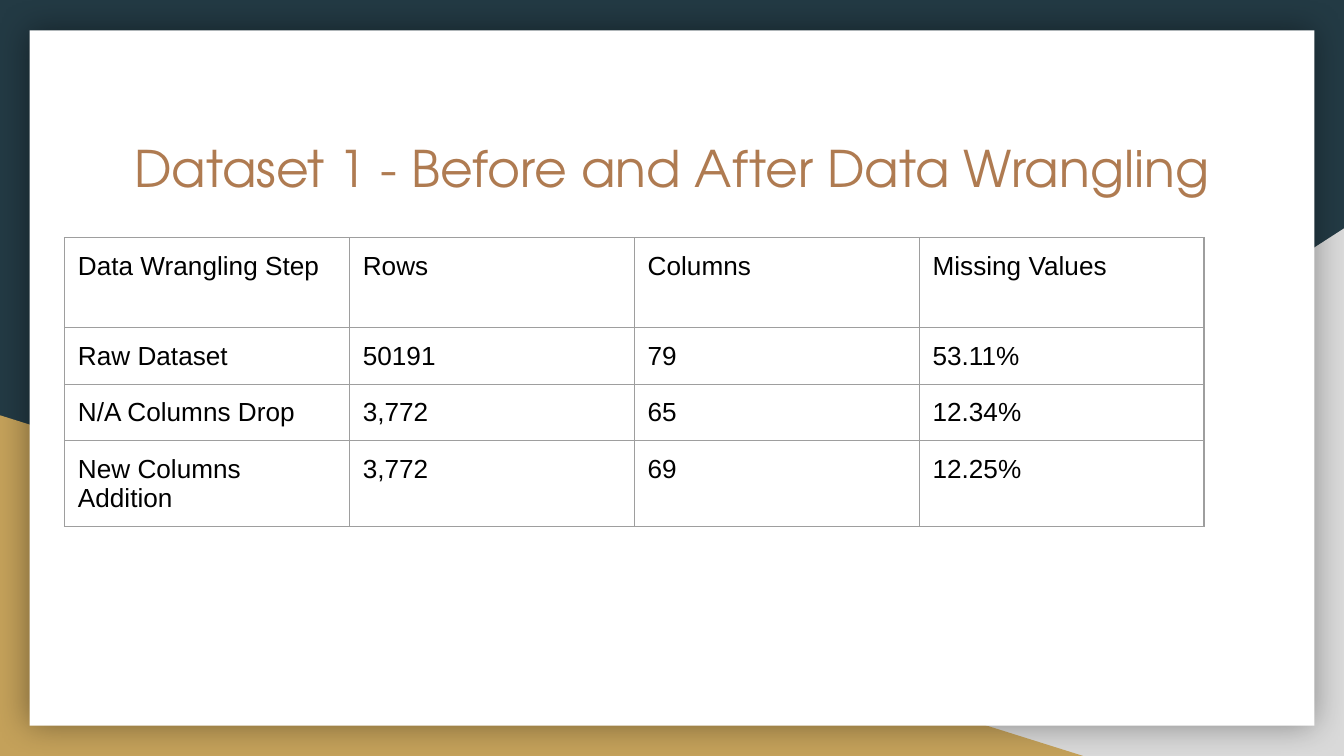
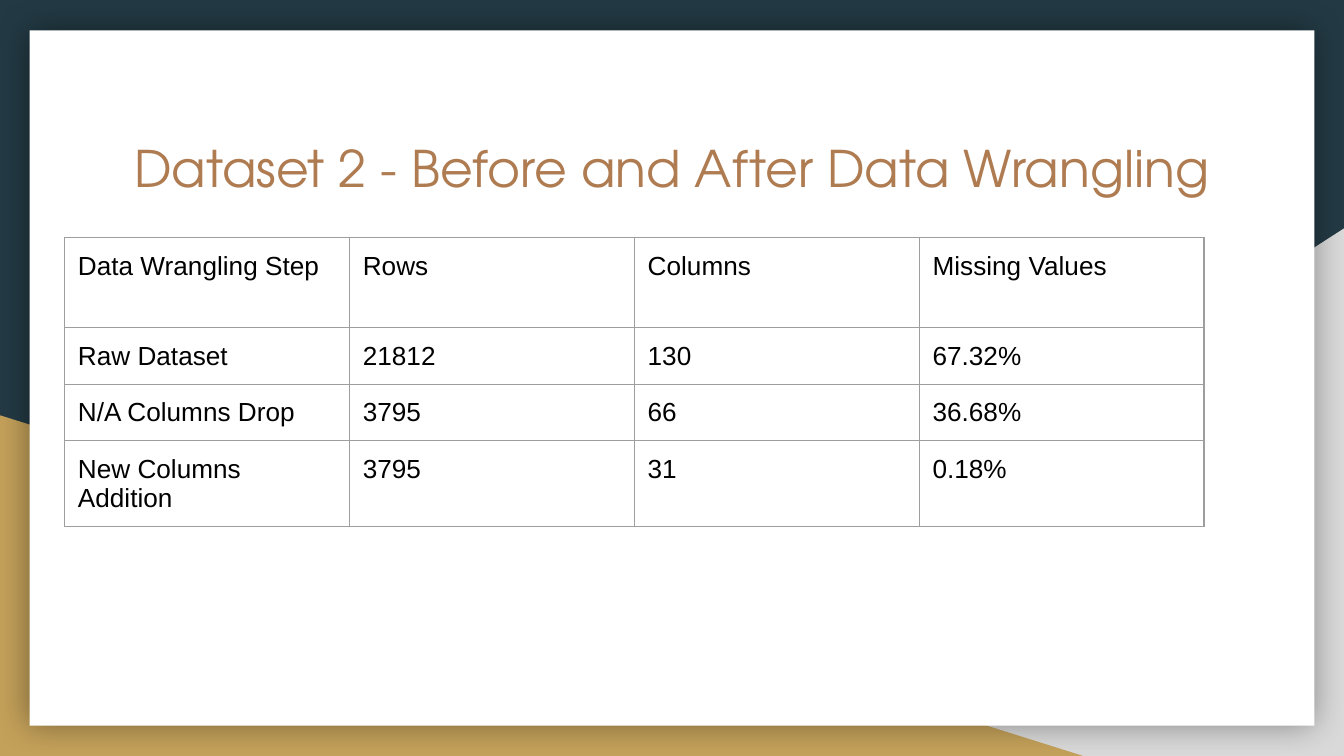
from dataclasses import dataclass

from lxml.etree import SubElement
from pptx import Presentation
from pptx.dml.color import RGBColor
from pptx.enum.shapes import MSO_SHAPE as Preset
from pptx.enum.text import MSO_ANCHOR as Anchor, MSO_AUTO_SIZE as AutoSize, PP_ALIGN as Align
from pptx.oxml.ns import qn
from pptx.util import Inches, Pt


@dataclass(frozen=True)
class Theme:
    """Colours, fonts and sizes shared by the slides."""
    background: str = "233A44"
    grey: str = "D9D9D9"
    gold: str = "C4A15A"
    panel: str = "FFFFFF"
    shadow: str = "000000"
    title: str = "AF7B51"
    text: str = "000000"
    border: str = "9E9E9E"
    title_font: str = "TeX Gyre Adventor"
    body_font: str = "Arial"
    title_size: int = 27
    body_size: int = 14
    border_width: float = 0.75
    inset: float = 0.1


THEME = Theme()
WIDTH, HEIGHT = Inches(10), Inches(5.625)
TITLE_AREA = (9, 16.36, 82.1, 18.49)
TABLE_LEFT, TABLE_TOP = 4.8, 31.47
COLUMN_WIDTH = 21.2
HEADER_HEIGHT, ROW_HEIGHT = 11.91, 7.47
HEADER = ("Data Wrangling Step", "Rows", "Columns", "Missing Values")
STEPS = ("Raw Dataset", "N/A Columns Drop", "New Columns Addition")
DATASETS = (
    (("50191", "79", "53.11%"), ("3,772", "65", "12.34%"), ("3,772", "69", "12.25%")),
    (("21812", "130", "67.32%"), ("3795", "66", "36.68%"), ("3795", "31", "0.18%")),
)


def across(percent):
    """Return a share of the slide width."""
    return round(WIDTH * percent / 100)


def down(percent):
    """Return a share of the slide height."""
    return round(HEIGHT * percent / 100)


def box(left, top, width, height):
    """Return slide lengths for an area given in percent."""
    return across(left), down(top), across(width), down(height)


def write(frame, text, *, font, size, color):
    """Write one left-aligned paragraph with its format."""
    frame.word_wrap = True
    paragraph = frame.paragraphs[0]
    paragraph.alignment = Align.LEFT
    run = paragraph.add_run()
    run.text = text
    run.font.name = font
    run.font.size = Pt(size)
    run.font.color.rgb = RGBColor.from_string(color)


def set_insets(holder):
    """Give a cell or text frame equal margins and top anchoring."""
    holder.margin_left = holder.margin_right = Inches(THEME.inset)
    holder.margin_top = holder.margin_bottom = Inches(THEME.inset)
    holder.vertical_anchor = Anchor.TOP


def add_filled(slide, preset, area, color):
    """Add a plain filled shape without outline."""
    shape = slide.shapes.add_shape(preset, *box(*area))
    shape.shadow.inherit = False
    shape.fill.solid()
    shape.fill.fore_color.rgb = RGBColor.from_string(color)
    shape.line.fill.background()
    return shape


def add_glow_shadow(shape):
    """Add a soft shadow on all sides of a shape."""
    effects = shape.element.spPr.find(qn("a:effectLst"))
    shadow = SubElement(effects, qn("a:outerShdw"), blurRad=str(Pt(18)), dist="0", dir="0",
                        algn="ctr", rotWithShape="0")
    color = SubElement(shadow, qn("a:srgbClr"), val=THEME.shadow)
    SubElement(color, qn("a:alpha"), val="40000")


def decorate_layout(layout, slide):
    """Build the backdrop once and move it onto the layout."""
    layout.background.fill.solid()
    layout.background.fill.fore_color.rgb = RGBColor.from_string(THEME.background)
    for placeholder in list(layout.placeholders)[1:]:
        layout.shapes.element.remove(placeholder.element)
    right = add_filled(slide, Preset.RIGHT_TRIANGLE, (39.2, 30.22, 60.8, 69.78), THEME.grey)
    right.element.spPr.xfrm.set("flipH", "1")
    left = add_filled(slide, Preset.RIGHT_TRIANGLE, (0, 54.93, 80.6, 45.07), THEME.gold)
    panel = add_filled(slide, Preset.RECTANGLE, (2.2, 4, 95.6, 92), THEME.panel)
    add_glow_shadow(panel)
    for index, shape in enumerate((right, left, panel), start=2):
        layout.shapes.element.insert(index, shape.element)


def add_title(slide, text):
    """Place and format the title placeholder."""
    title = slide.shapes.title
    title.left, title.top, title.width, title.height = box(*TITLE_AREA)
    frame = title.text_frame
    frame.auto_size = AutoSize.NONE
    set_insets(frame)
    write(frame, text, font=THEME.title_font, size=THEME.title_size, color=THEME.title)


def set_borders(cell):
    """Draw a thin line on each side of a cell."""
    properties = cell._tc.get_or_add_tcPr()
    for index, side in enumerate(("a:lnL", "a:lnR", "a:lnT", "a:lnB")):
        line = properties.makeelement(qn(side), {"w": str(Pt(THEME.border_width))})
        fill = SubElement(line, qn("a:solidFill"))
        SubElement(fill, qn("a:srgbClr"), val=THEME.border)
        properties.insert(index, line)


def add_data_table(slide, rows):
    """Add a bordered table with equal columns and a taller header."""
    heights = [HEADER_HEIGHT] + [ROW_HEIGHT] * (len(rows) - 1)
    area = box(TABLE_LEFT, TABLE_TOP, COLUMN_WIDTH * len(HEADER), sum(heights))
    table = slide.shapes.add_table(len(rows), len(HEADER), *area).table
    table.first_row = table.horz_banding = False
    for column in table.columns:
        column.width = across(COLUMN_WIDTH)
    for row, height, values in zip(table.rows, heights, rows):
        row.height = down(height)
        for cell, value in zip(row.cells, values):
            set_insets(cell)
            cell.fill.background()
            set_borders(cell)
            write(cell.text_frame, value, font=THEME.body_font, size=THEME.body_size,
                  color=THEME.text)


def main():
    """Build one slide for each dataset."""
    presentation = Presentation()
    presentation.slide_width, presentation.slide_height = WIDTH, HEIGHT
    layout = presentation.slide_layouts.get_by_name("Title Only")
    for number, figures in enumerate(DATASETS, start=1):
        slide = presentation.slides.add_slide(layout)
        if number == 1:
            decorate_layout(layout, slide)
        add_title(slide, f"Dataset {number} - Before and After Data Wrangling")
        add_data_table(slide, [HEADER] + [(step, *row) for step, row in zip(STEPS, figures)])
    presentation.save("out.pptx")


if __name__ == "__main__":
    main()
